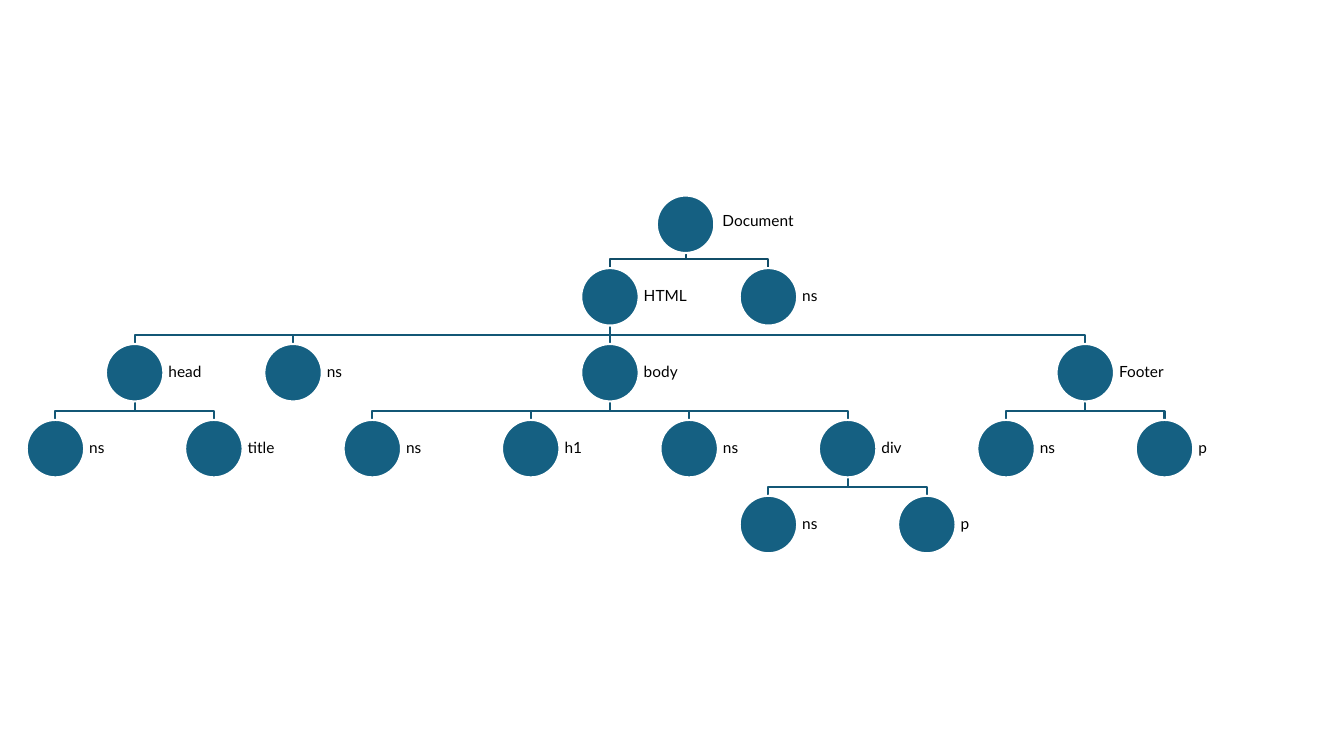
from pptx import Presentation
from pptx.dml.color import RGBColor
from pptx.enum.shapes import MSO_CONNECTOR, MSO_SHAPE
from pptx.enum.text import MSO_ANCHOR
from pptx.oxml.ns import qn
from pptx.util import Inches, Pt
from lxml import etree

ELLIPSE = MSO_SHAPE.OVAL
STRAIGHT = MSO_CONNECTOR.STRAIGHT
MIDDLE = MSO_ANCHOR.MIDDLE

CIRCLE = 0.57
LABEL_W = 0.86
BEND = 0.09  # height of the horizontal branch above the child
COL_X, COL_STEP = 0.55, 11 / 14  # circle centres
ROW_Y, ROW_STEP = 2.66, 0.753  # circle tops, below the root
ROOT_X, ROOT_Y = 6.8, 1.94

# label, column, row, index of the parent
NODES = [
    ("Document", None, None, None),
    ("HTML", 7, 0, 0),
    ("ns", 9, 0, 0),
    ("head", 1, 1, 1),
    ("ns", 3, 1, 1),
    ("body", 7, 1, 1),
    ("Footer", 13, 1, 1),
    ("ns", 0, 2, 3),
    ("title", 2, 2, 3),
    ("ns", 4, 2, 5),
    ("h1", 6, 2, 5),
    ("ns", 8, 2, 5),
    ("div", 10, 2, 5),
    ("ns", 12, 2, 6),
    ("p", 14, 2, 6),
    ("ns", 9, 3, 12),
    ("p", 11, 3, 12),
]


def rgb(color):
    return RGBColor.from_string(color)


prs = Presentation()
prs.slide_width, prs.slide_height = Inches(13.33), Inches(7.5)
s = prs.slides.add_slide(prs.slide_layouts[6])

# Centre and top of each circle
spots = [(ROOT_X, ROOT_Y)]
for _, col, row, _ in NODES[1:]:
    spots.append((COL_X + col * COL_STEP, ROW_Y + row * ROW_STEP))

# Branches, behind the circles
for (_, _, row, parent), (x, top) in zip(NODES[1:], spots[1:]):
    start_x, start_y = spots[parent][0], spots[parent][1] + CIRCLE
    if x == start_x:
        branch = s.shapes.add_connector(
            STRAIGHT, Inches(x), Inches(start_y), Inches(x), Inches(top))
        etree.SubElement(branch._element.spPr, qn("a:effectLst"))
    else:
        turn = top - BEND
        builder = s.shapes.build_freeform(Inches(start_x), Inches(start_y))
        builder.add_line_segments(
            [(Inches(px), Inches(py))
             for px, py in ((start_x, turn), (x, turn), (x, top))],
            close=False)
        branch = builder.convert_to_shape()
        branch.fill.background()
        branch.shadow.inherit = False
    branch.line.color.rgb = rgb("114D68" if row == 0 else "135776")
    branch.line.width = Pt(1.5)

# Circles and their labels
for (label, _, _, parent), (x, top) in zip(NODES, spots):
    left = x - CIRCLE / 2
    circle = s.shapes.add_shape(
        ELLIPSE, Inches(left), Inches(top), Inches(CIRCLE), Inches(CIRCLE))
    circle.shadow.inherit = False
    circle.fill.solid()
    circle.fill.fore_color.rgb = rgb("156082")
    circle.line.color.rgb = rgb("FFFFFF")
    circle.line.width = Pt(1.5)

    shift_x, shift_y = (0.03, -0.03) if parent is None else (0, 0)
    box = s.shapes.add_textbox(
        Inches(left + CIRCLE + shift_x), Inches(top + shift_y),
        Inches(LABEL_W), Inches(CIRCLE))
    tf = box.text_frame
    tf.word_wrap = True
    tf.vertical_anchor = MIDDLE
    tf.margin_left = tf.margin_right = Inches(0.05)
    tf.margin_top = tf.margin_bottom = Inches(0.05)
    p = tf.paragraphs[0]
    p.line_spacing = 0.9
    p.space_after = Pt(4)
    r = p.add_run()
    r.text = label
    r.font.name = "Lato"
    r.font.size = Pt(11)
    r.font.color.rgb = rgb("000000")

prs.save("out.pptx")
